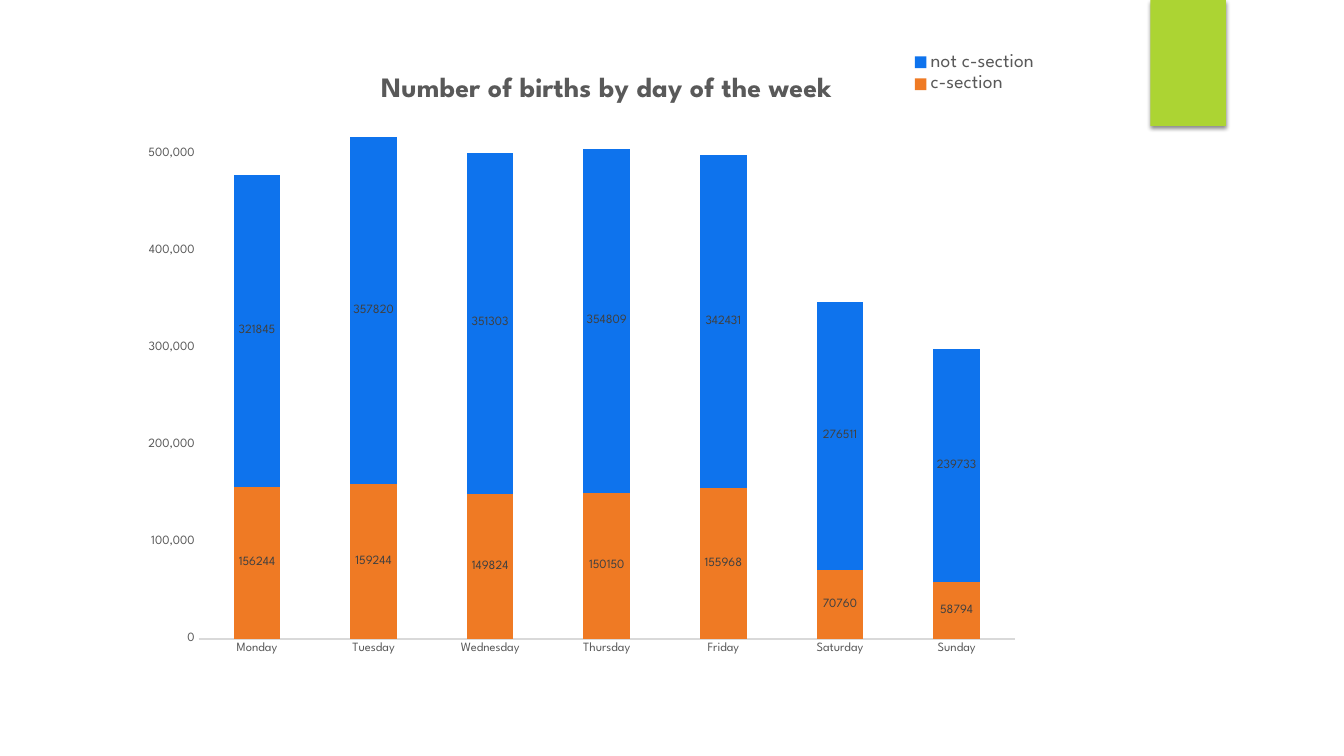
from lxml import etree
from pptx import Presentation
from pptx.chart.data import CategoryChartData
from pptx.dml.color import RGBColor
from pptx.enum.chart import XL_CHART_TYPE, XL_LABEL_POSITION, XL_LEGEND_POSITION, XL_TICK_MARK
from pptx.enum.shapes import MSO_SHAPE
from pptx.oxml import parse_xml
from pptx.oxml.ns import nsdecls, qn
from pptx.util import Inches, Pt

RECTANGLE = MSO_SHAPE.RECTANGLE
STACKED = XL_CHART_TYPE.COLUMN_STACKED
CENTER = XL_LABEL_POSITION.CENTER
CORNER = XL_LEGEND_POSITION.CORNER
NO_TICK = XL_TICK_MARK.NONE

BLACK = RGBColor(0x00, 0x00, 0x00)
GREEN = RGBColor(0xAC, 0xD4, 0x33)
ORANGE = RGBColor(0xEF, 0x7A, 0x24)
BLUE = RGBColor(0x0E, 0x73, 0xED)
GRAY = RGBColor(0x59, 0x59, 0x59)
DARK = RGBColor(0x40, 0x40, 0x40)
PALE = RGBColor(0xD9, 0xD9, 0xD9)

WIDTH, HEIGHT = 13.33, 7.5
DAYS = ["Monday", "Tuesday", "Wednesday", "Thursday", "Friday", "Saturday", "Sunday"]
BIRTHS = [
    ("c-section", ORANGE, [156244, 159244, 149824, 150150, 155968, 70760, 58794]),
    ("not c-section", BLUE, [321845, 357820, 351303, 354809, 342431, 276511, 239733]),
]


class SlideBuilder:
    """Holds the style and the current page, and adds elements placed by shares of the slide."""

    def __init__(self, deck, font_name):
        self.deck = deck
        self.font_name = font_name
        self.page = deck.slides.add_slide(deck.slide_layouts[6])

    def area(self, left, top, width, height):
        across, down = self.deck.slide_width, self.deck.slide_height
        return int(left * across), int(top * down), int(width * across), int(height * down)

    def style(self, font, size, color, bold=False):
        font.name = self.font_name
        font.size = Pt(size)
        font.bold = bold
        font.color.rgb = color

    def tab(self, share, color):
        shape = self.page.shapes.add_shape(RECTANGLE, *self.area(*share))
        shape.fill.solid()
        shape.fill.fore_color.rgb = color
        shape.line.fill.background()
        shape.shadow.inherit = False
        effects = shape.element.spPr.find(qn("a:effectLst"))
        effects.append(parse_xml(
            f'<a:outerShdw {nsdecls("a")} blurRad="{Pt(3)}" dist="{Pt(2)}" dir="5400000" '
            'rotWithShape="0"><a:srgbClr val="000000"><a:alpha val="45000"/>'
            '</a:srgbClr></a:outerShdw>'))

    def stacked_chart(self, share, categories, series_rows, maximum):
        data = CategoryChartData()
        data.categories = categories
        for name, color, values in series_rows:
            data.add_series(name, values)
        chart = self.page.shapes.add_chart(STACKED, *self.area(*share), data).chart
        self.style(chart.font, 10, BLACK)
        plot = chart.plots[0]
        plot.gap_width = 150
        plot.overlap = 100
        plot.vary_by_categories = False
        for series, (name, color, values) in zip(plot.series, series_rows):
            series.format.fill.solid()
            series.format.fill.fore_color.rgb = color
            labels = series.data_labels
            labels.show_value = True
            labels.position = CENTER
            self.style(labels.font, 9, DARK)
        self.axes(chart, maximum)
        self.layout(chart.element.chart.plotArea, None, x=0.05, y=0.085, w=0.92, h=0.811)
        return chart

    def axes(self, chart, maximum):
        for axis in (chart.category_axis, chart.value_axis):
            axis.major_tick_mark = axis.minor_tick_mark = NO_TICK
            axis.has_major_gridlines = False
            self.style(axis.tick_labels.font, 9, GRAY)
        line = chart.category_axis.format.line
        line.color.rgb = PALE
        line.width = Pt(1)
        values = chart.value_axis
        values.format.line.fill.background()
        values.minimum_scale, values.maximum_scale = 0, maximum
        values.major_unit = 100000
        values.tick_labels.number_format = "#,##0"
        values.tick_labels.number_format_is_linked = False

    def chart_title(self, chart, text):
        chart.has_title = True
        span = chart.chart_title.text_frame.paragraphs[0].add_run()
        span.text = text
        self.style(span.font, 20, GRAY, bold=True)
        self.layout(chart.chart_title._element, "c:tx", x=0.25, y=0.03)

    def chart_legend(self, chart):
        chart.has_legend = True
        legend = chart.legend
        legend.position = CORNER
        legend.include_in_layout = False
        self.style(legend.font, 14, GRAY)
        self.layout(legend._element, "c:legendPos", x=0.85, y=0.0)

    def layout(self, element, before, **shares):
        for old in element.findall(qn("c:layout")):
            element.remove(old)
        layout = etree.Element(qn("c:layout"))
        manual = etree.SubElement(layout, qn("c:manualLayout"))
        settings = {"xMode": "edge", "yMode": "edge", **shares}
        if "w" in shares:
            settings = {"layoutTarget": "inner", **settings}
        for key, value in settings.items():
            etree.SubElement(manual, qn(f"c:{key}")).set("val", str(value))
        position = element.index(element.find(qn(before))) + 1 if before else 0
        element.insert(position, layout)


def main():
    deck = Presentation()
    deck.slide_width, deck.slide_height = Inches(WIDTH), Inches(HEIGHT)
    builder = SlideBuilder(deck, "League Spartan")
    builder.tab((11.41 / WIDTH, 0, 0.75 / WIDTH, 1.25 / HEIGHT), GREEN)
    chart_share = (1.47 / WIDTH, 0.49 / HEIGHT, 8.86 / WIDTH, 6.53 / HEIGHT)
    chart = builder.stacked_chart(chart_share, DAYS, BIRTHS, 550000)
    builder.chart_title(chart, "Number of births by day of the week")
    builder.chart_legend(chart)
    deck.save("out.pptx")


if __name__ == "__main__":
    main()
